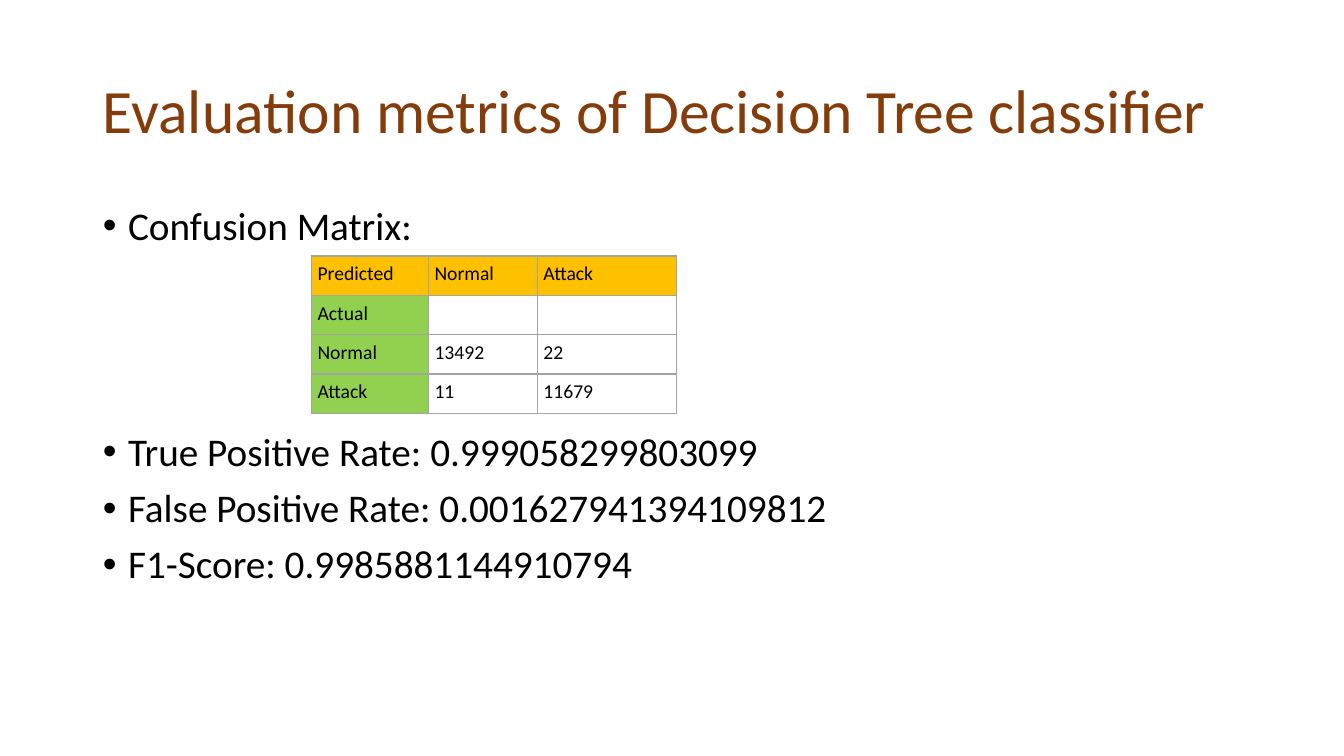
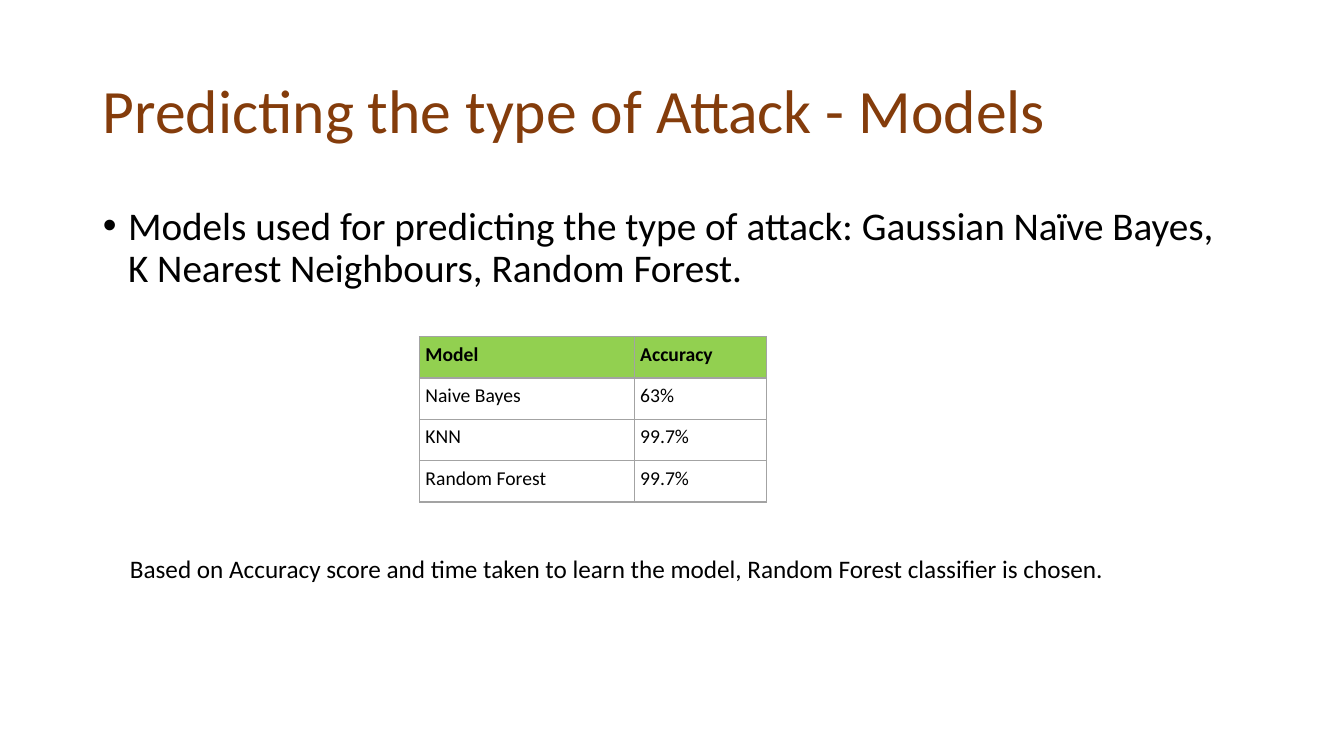
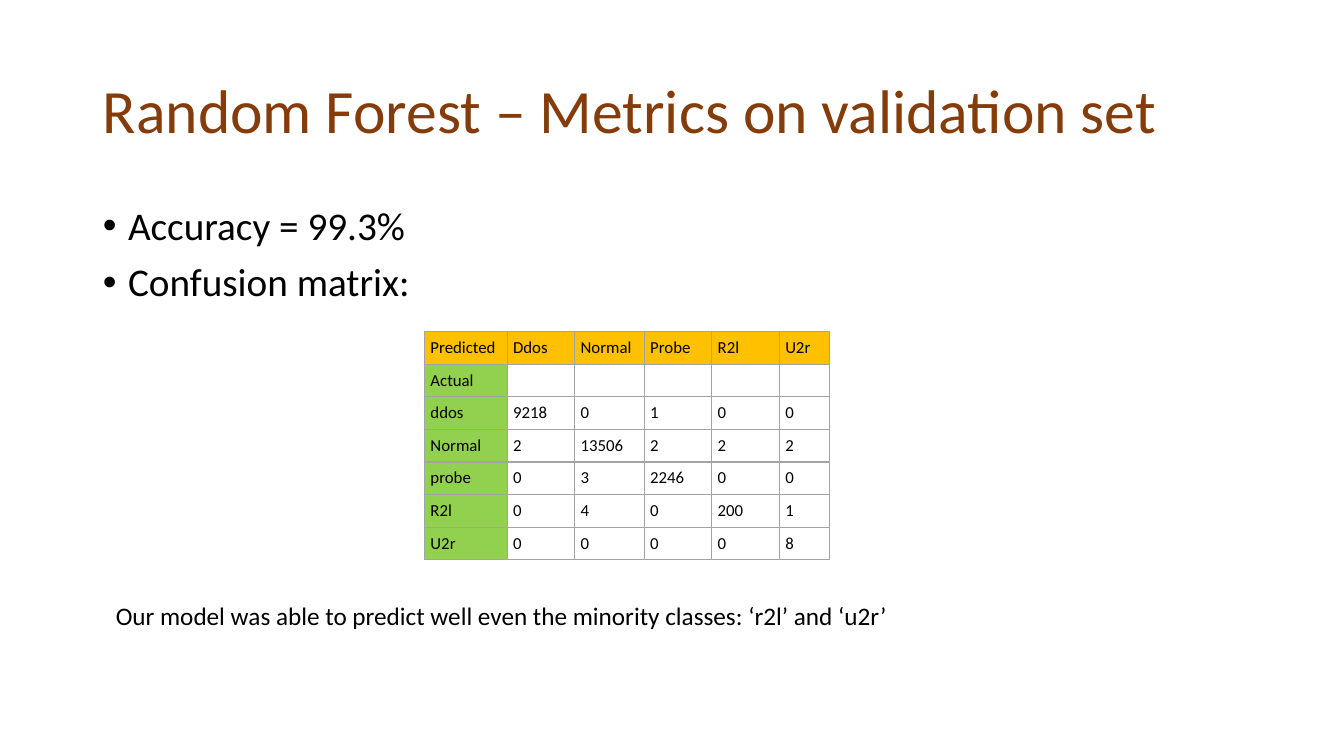
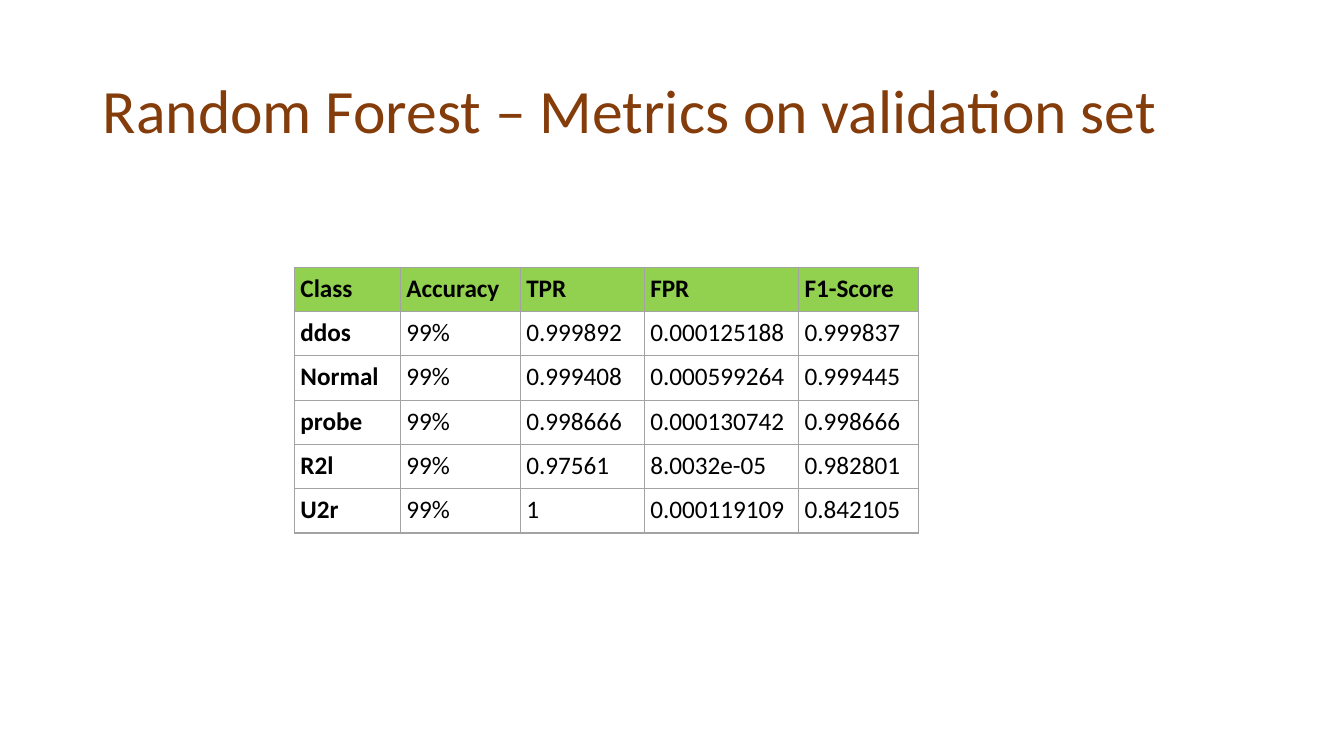
import pptx
import pptx.dml.color
import pptx.enum.text
import pptx.oxml.ns
import pptx.util
from lxml import etree

RGBColor = pptx.dml.color.RGBColor
Inches = pptx.util.Inches
Pt = pptx.util.Pt
qn = pptx.oxml.ns.qn

# Shared style
BROWN = RGBColor(0x84, 0x3C, 0x0B)
BLACK = RGBColor(0x00, 0x00, 0x00)
AMBER = RGBColor(0xFF, 0xC0, 0x00)
GREEN = RGBColor(0x92, 0xD0, 0x50)
GRAY = RGBColor(0xA3, 0xA3, 0xA3)
FONT = "Calibri"
TITLE_AREA = (0.92, 0.4, 11.5, 1.45)
BODY_AREA = (0.92, 2, 11.5, 4.76)
CELL_MARGIN = Inches(0.06)
BULLET_INDENT = Inches(0.25)
BULLET_SPACE = 10
BELOW_TABLE_SPACE = 131  # leaves room for a table between two bullets


def write(paragraph, text, size=18, color=BLACK, bold=False,
          line_spacing=None, space_before=None):
    if not text:  # an empty cell keeps the height of its row
        etree.SubElement(paragraph._p, qn("a:endParaRPr"), sz=str(size * 100))
        return
    run = paragraph.add_run()
    run.text = text
    run.font.name = FONT
    run.font.size = Pt(size)
    run.font.bold = bold
    run.font.color.rgb = color
    if line_spacing is not None:
        paragraph.line_spacing = line_spacing
    if space_before is not None:
        paragraph.space_before = Pt(space_before)


def add_grid(slide, left, top, columns, row_height, rows, size,
             header_fill, label_fill=None, bold_header=False, bold_labels=False):
    table = slide.shapes.add_table(
        len(rows), len(columns), Inches(left), Inches(top),
        Inches(sum(columns)), Inches(row_height * len(rows))).table
    table.first_row = False
    table.horz_banding = False
    for column, width in zip(table.columns, columns):
        column.width = Inches(width)
    for row_index, row in enumerate(rows):
        for column_index, text in enumerate(row):
            cell = table.cell(row_index, column_index)
            cell.margin_left = cell.margin_right = CELL_MARGIN
            cell.margin_top = cell.margin_bottom = CELL_MARGIN
            is_header = row_index == 0
            is_label = column_index == 0
            write(cell.text_frame.paragraphs[0], text, size=size,
                  bold=is_header and bold_header or is_label and bold_labels)
            # Borders
            for side in ("a:lnL", "a:lnR", "a:lnT", "a:lnB"):
                line = etree.SubElement(cell._tc.get_or_add_tcPr(), qn(side), w=str(Pt(1)))
                solid = etree.SubElement(line, qn("a:solidFill"))
                etree.SubElement(solid, qn("a:srgbClr"), val=str(GRAY))
            # Fill
            fill = header_fill if is_header else label_fill if is_label else None
            if fill is None:
                cell.fill.background()
            else:
                cell.fill.solid()
                cell.fill.fore_color.rgb = fill


# Content: bullets are (text, space before), notes are (left, top, width, text)
slides = [
    {
        "title": "Evaluation metrics of Decision Tree classifier",
        "bullets": [
            ("Confusion Matrix:", BULLET_SPACE),
            ("True Positive Rate: 0.999058299803099", BELOW_TABLE_SPACE),
            ("False Positive Rate: 0.001627941394109812", BULLET_SPACE),
            ("F1-Score: 0.9985881144910794", BULLET_SPACE),
        ],
        "table": dict(
            left=3.09, top=2.54, columns=[1.16, 1.08, 1.38], row_height=0.39,
            size=14, header_fill=AMBER, label_fill=GREEN,
            rows=[
                ["Predicted", "Normal", "Attack"],
                ["Actual", "", ""],
                ["Normal", "13492", "22"],
                ["Attack", "11", "11679"],
            ]),
    },
    {
        "title": "Predicting the type of Attack - Models",
        "bullets": [
            ("Models used for predicting the type of attack: Gaussian Naïve Bayes, "
             "K Nearest Neighbours, Random Forest.", BULLET_SPACE),
        ],
        "table": dict(
            left=4.16, top=3.34, columns=[2.13, 1.31], row_height=0.41,
            size=14, header_fill=GREEN, bold_header=True,
            rows=[
                ["Model", "Accuracy"],
                ["Naive Bayes", "63%"],
                ["KNN", "99.7%"],
                ["Random Forest", "99.7%"],
            ]),
        "note": (1.19, 5.44, 10.87,
                 "Based on Accuracy score and time taken to learn the model, "
                 "Random Forest classifier is chosen."),
    },
    {
        "title": "Random Forest – Metrics on validation set",
        "bullets": [
            ("Accuracy = 99.3%", BULLET_SPACE),
            ("Confusion matrix:", BULLET_SPACE),
        ],
        "table": dict(
            left=4.21, top=3.29, columns=[0.82, 0.67, 0.69, 0.67, 0.67, 0.5],
            row_height=0.31, size=12, header_fill=AMBER, label_fill=GREEN,
            rows=[
                ["Predicted", "Ddos", "Normal", "Probe", "R2l", "U2r"],
                ["Actual", "", "", "", "", ""],
                ["ddos", "9218", "0", "1", "0", "0"],
                ["Normal", "2", "13506", "2", "2", "2"],
                ["probe", "0", "3", "2246", "0", "0"],
                ["R2l", "0", "4", "0", "200", "1"],
                ["U2r", "0", "0", "0", "0", "8"],
            ]),
        "note": (1.05, 5.91, 11.37,
                 "Our model was able to predict well even the minority classes: "
                 "‘r2l’ and ‘u2r’"),
    },
    {
        "title": "Random Forest – Metrics on validation set",
        "table": dict(
            left=2.92, top=2.65, columns=[1.05, 1.19, 1.23, 1.53, 1.19],
            row_height=0.44, size=18, header_fill=GREEN,
            bold_header=True, bold_labels=True,
            rows=[
                ["Class", "Accuracy", "TPR", "FPR", "F1-Score"],
                ["ddos", "99%", "0.999892", "0.000125188", "0.999837"],
                ["Normal", "99%", "0.999408", "0.000599264", "0.999445"],
                ["probe", "99%", "0.998666", "0.000130742", "0.998666"],
                ["R2l", "99%", "0.97561", "8.0032e-05", "0.982801"],
                ["U2r", "99%", "1", "0.000119109", "0.842105"],
            ]),
    },
]

presentation = pptx.Presentation()
presentation.slide_width = Inches(13.33)
presentation.slide_height = Inches(7.5)
content_layout = presentation.slide_layouts[1]
title_layout = presentation.slide_layouts[5]

for content in slides:
    bullets = content.get("bullets", [])
    slide = presentation.slides.add_slide(content_layout if bullets else title_layout)

    # Title
    title = slide.shapes.title
    title.left, title.top, title.width, title.height = map(Inches, TITLE_AREA)
    title.text_frame.auto_size = pptx.enum.text.MSO_AUTO_SIZE.NONE
    title.text_frame.vertical_anchor = pptx.enum.text.MSO_ANCHOR.MIDDLE
    heading = title.text_frame.paragraphs[0]
    heading.alignment = pptx.enum.text.PP_ALIGN.LEFT
    write(heading, content["title"], size=44, color=BROWN, line_spacing=0.9)

    # Bullets
    if bullets:
        body = slide.placeholders[1]
        body.left, body.top, body.width, body.height = map(Inches, BODY_AREA)
        frame = body.text_frame
        frame.auto_size = pptx.enum.text.MSO_AUTO_SIZE.NONE
        for index, (text, space_before) in enumerate(bullets):
            paragraph = frame.add_paragraph() if index else frame.paragraphs[0]
            write(paragraph, text, size=28, line_spacing=0.9, space_before=space_before)
            properties = paragraph._p.get_or_add_pPr()
            properties.set("marL", str(BULLET_INDENT))
            properties.set("indent", str(-BULLET_INDENT))

    # Table
    add_grid(slide, **content["table"])

    # Note below the table
    if "note" in content:
        left, top, width, text = content["note"]
        note = slide.shapes.add_textbox(
            Inches(left), Inches(top), Inches(width), Inches(0.4))
        note.text_frame.word_wrap = True
        write(note.text_frame.paragraphs[0], text)

presentation.save("out.pptx")
